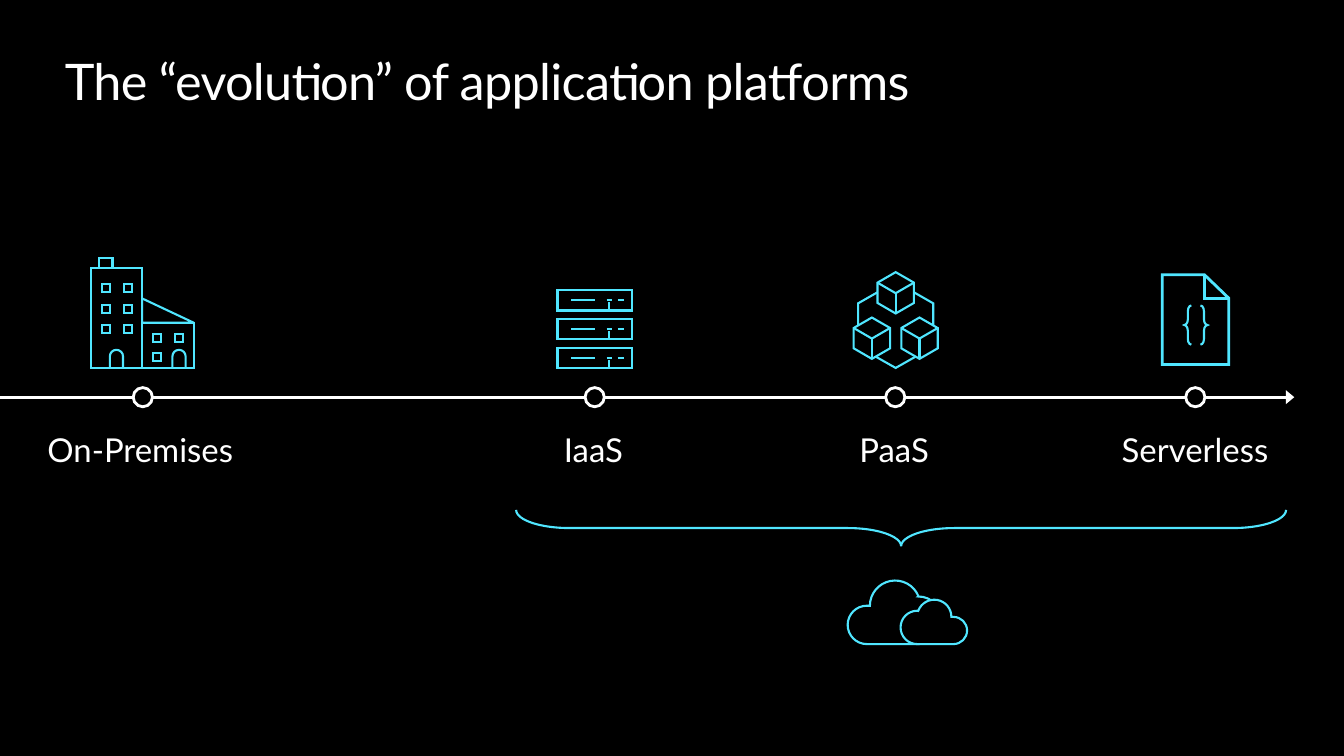
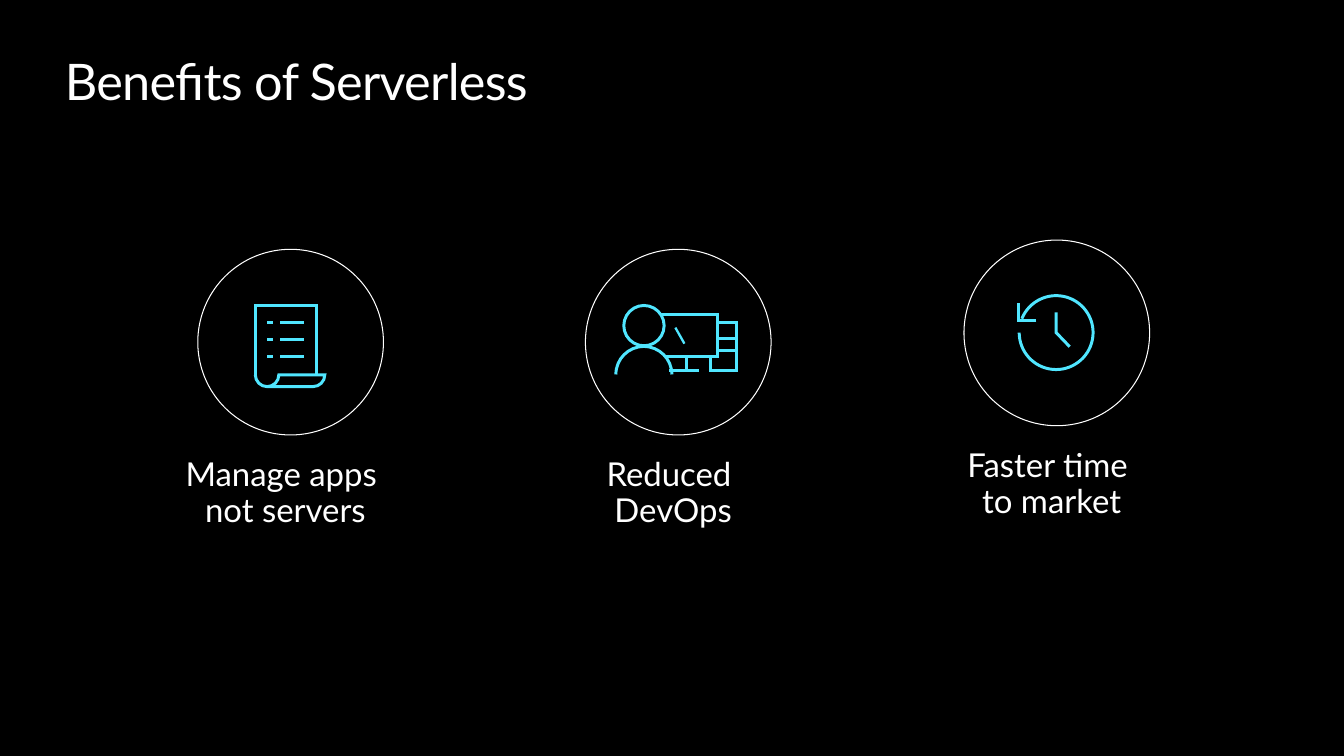
"""Builds two slides on application platforms and serverless benefits."""
from math import ceil, cos, radians, sin, tan

from lxml.etree import SubElement as Sub
from pptx import Presentation
from pptx.dml.color import RGBColor as RGB
from pptx.enum.shapes import MSO_CONNECTOR as LINK, MSO_SHAPE as KIND
from pptx.enum.text import MSO_ANCHOR as ANCHOR, MSO_AUTO_SIZE as SIZE, PP_ALIGN as ALIGN
from pptx.oxml.ns import qn
from pptx.util import Pt

COLORS = {"back": "000000", "text": "FFFFFF", "icon": "50E6FF"}
FONT = "Lato"
BOLD = 2.13
AXIS = 283.7


def color(name):
    """Return a palette colour."""
    return RGB.from_string(COLORS[name])


def style(shape, width, line="icon", fill=None):
    """Set a sharp-cornered outline and the fill, with no shadow."""
    shape.shadow.inherit = False
    shape.line.width = Pt(width)
    shape.line.color.rgb = color(line)
    Sub(shape.element.spPr.find(qn("a:ln")), qn("a:miter"), lim="800000")
    if fill:
        shape.fill.solid()
        shape.fill.fore_color.rgb = color(fill)
    else:
        shape.fill.background()


def form(shapes, kind, x, y, w, h, width=1.5, line="icon", fill=None):
    """Add a preset shape."""
    shape = shapes.add_shape(kind, Pt(x), Pt(y), Pt(w), Pt(h))
    style(shape, width, line, fill)
    return shape


def disc(shapes, x, y, size, width, line="icon", fill=None):
    """Add a circle around a centre."""
    form(shapes, KIND.OVAL, x - size / 2, y - size / 2, size, size, width, line, fill)


def bend(shape, steps):
    """Turn each three-point step of an outline into a Bezier curve."""
    nodes = iter(list(shape.element.iter(qn("a:lnTo"))))
    for step in steps:
        first, *rest = [next(nodes) for _ in step]
        if rest:
            first.tag = qn("a:cubicBezTo")
            for node in rest:
                first.append(node[0])
                node.getparent().remove(node)


def trace(shapes, steps, width=1.5, close=False, fill=None):
    """Add a freeform through points and curves."""
    steps = [step if isinstance(step, list) else [step] for step in steps]
    spots = [(Pt(x), Pt(y)) for step in steps for x, y in step]
    pen = shapes.build_freeform(*spots[0])
    pen.add_line_segments(spots[1:], close=close)
    shape = pen.convert_to_shape()
    bend(shape, steps[1:])
    style(shape, width, fill=fill)


def arc(x, y, r, start, end):
    """Return a point and curves on a circle, clockwise in degrees from the right."""
    count = ceil(abs(end - start) / 90)
    turn = radians(end - start) / count
    pull = r * tan(turn / 4) * 4 / 3
    steps = [(x + r * cos(radians(start)), y + r * sin(radians(start)))]
    for i in range(count):
        a = radians(start) + i * turn
        b = a + turn
        x1, y1, x2, y2 = x + r * cos(a), y + r * sin(a), x + r * cos(b), y + r * sin(b)
        steps.append([(x1 - pull * sin(a), y1 + pull * cos(a)),
                      (x2 + pull * sin(b), y2 - pull * cos(b)), (x2, y2)])
    return steps


def line(shapes, x1, y1, x2, y2, width=1.5, ink="icon", arrow=False):
    """Add a straight line, with an optional arrowhead."""
    link = shapes.add_connector(LINK.STRAIGHT, Pt(x1), Pt(y1), Pt(x2), Pt(y2))
    link.line.width = Pt(width)
    link.line.color.rgb = color(ink)
    props = link.element.spPr
    if arrow:
        Sub(props.find(qn("a:ln")), qn("a:tailEnd"), type="triangle", w="lg")
    Sub(props, qn("a:effectLst"))


def inset(frame, left, top, right, low):
    """Set the margins of a text frame."""
    frame.margin_left, frame.margin_top = Pt(left), Pt(top)
    frame.margin_right, frame.margin_bottom = Pt(right), Pt(low)


def paint(part, size):
    """Format the runs of a paragraph."""
    for run in part.runs:
        run.font.name = FONT
        run.font.size = Pt(size)
        run.font.color.rgb = color("text")


def label(slide, text, x, y, w, h, left, align, wrap):
    """Add a caption centred on x."""
    frame = slide.shapes.add_textbox(Pt(x - w / 2), Pt(y), Pt(w), Pt(h)).text_frame
    inset(frame, left, 11.5, 14.4, 11.5)
    frame.word_wrap = wrap
    frame.auto_size = SIZE.SHAPE_TO_FIT_TEXT
    frame.text = text
    part = frame.paragraphs[0]
    part.alignment = align
    part.line_spacing = 0.9
    part.space_after = Pt(5.9)
    paint(part, 23.5)


def theme(deck):
    """Set the shared background and title box and return the layout."""
    fill = deck.slide_master.background.fill
    fill.solid()
    fill.fore_color.rgb = color("back")
    layout = deck.slide_layouts[5]
    head = layout.placeholders[0]
    head.left, head.top, head.width, head.height = Pt(46.3), Pt(36), Pt(868), Pt(44)
    return layout


def page(deck, layout, text):
    """Add a slide with its title."""
    slide = deck.slides.add_slide(layout)
    frame = slide.shapes.title.text_frame
    inset(frame, 0, 0, 0, 0)
    frame.vertical_anchor = ANCHOR.TOP
    frame.auto_size = SIZE.NONE
    frame.text = text
    part = frame.paragraphs[0]
    part.alignment = ALIGN.LEFT
    paint(part, 36)
    for run in part.runs:
        run.font._element.set("spc", "-50")
    return slide


def office(shapes):
    """Draw the office building."""
    form(shapes, KIND.RECTANGLE, 64.8, 191.5, 36.7, 71.5)
    form(shapes, KIND.RECTANGLE, 70.4, 184.3, 10, 7.2)
    form(shapes, KIND.RECTANGLE, 101.5, 230.6, 37, 32.4)
    form(shapes, KIND.RIGHT_TRIANGLE, 101.5, 213.2, 37, 17.4)
    panes = [(x, y) for x in (72.7, 88.6) for y in (203, 217.6, 232.2)]
    for x, y in panes + [(109.4, 238.3), (125.3, 238.3), (109.4, 252)]:
        form(shapes, KIND.RECTANGLE, x, y, 5.7, 5.7)
    for x in (83.2, 127.9):
        top = arc(x, 254.6, 4.7, 180, 360)
        trace(shapes, [(x - 4.7, 263), *top, (x + 4.7, 263)])


def rack(shapes):
    """Draw three stacked servers."""
    for i in range(3):
        y = 207.4 + 20.6 * i
        form(shapes, KIND.RECTANGLE, 398.2, y, 53.3, 14.4)
        for x1, x2 in ((408.2, 424.8), (433.4, 437), (441.4, 445.7)):
            line(shapes, x1, y + 7.2, x2, y + 7.2)
        line(shapes, 434.9, y + 8.6, 434.9, y + 14.4)


def cube(shapes, x, y):
    """Draw a cube below its top corner."""
    left, right = x - 13, x + 13
    edge = [(left, y + 7.5), (x, y), (right, y + 7.5),
            (right, y + 22), (x, y + 29.5), (left, y + 22)]
    trace(shapes, edge, close=True)
    trace(shapes, [(right, y + 7.5), (x, y + 15), (left, y + 7.5)])
    line(shapes, x, y + 15, x, y + 29.5)


def cubes(shapes):
    """Draw three linked cubes."""
    mid = 639.8
    for x, y in ((mid, 194.4), (mid - 17, 226.8), (mid + 17, 226.8)):
        cube(shapes, x, y)
    for side in (-1, 1):
        far = mid + side * 26.8
        trace(shapes, [(mid + side * 13, 208.8), (far, 216.7), (far, 232.6)])
    trace(shapes, [(mid - 14, 254.9), (mid, 262.8), (mid + 14, 254.9)])


def code(shapes):
    """Draw a page with a folded corner and braces."""
    fold, right, top, low = 860.4, 877.7, 196.3, 213
    edge = [(830.2, top), (fold, top), (right, low), (right, 260.4), (830.2, 260.4)]
    trace(shapes, edge, 2, close=True)
    trace(shapes, [(fold, top), (fold, low), (right, low)], 2)
    for kind, x in ((KIND.LEFT_BRACE, 846), (KIND.RIGHT_BRACE, 857.5)):
        form(shapes, kind, x, 218.2, 5, 28).adjustments[0] = 0.81


def cloud(shapes, dome, right, left, fill=None):
    """Draw a cloud from three arcs."""
    steps = arc(*dome) + arc(*right, -90, 90) + arc(*left, 90, 270)
    trace(shapes, steps, close=True, fill=fill)


def scroll(shapes):
    """Draw a scroll with a list."""
    trace(shapes, [(182.4, 268.6), (182.4, 218.2), (226.1, 218.2), (226.1, 267.8)], BOLD)
    curl = arc(190.8, 267.8, 8.4, 180, 0) + arc(223.6, 267.8, 8.4, 0, 90)
    trace(shapes, curl + [(190.8, 276.2)], BOLD)
    for i in range(3):
        y = 230.4 + 12.25 * i
        for x1, x2 in ((190.8, 195.1), (200.2, 217.4)):
            line(shapes, x1, y, x2, y, BOLD)


def desk(shapes):
    """Draw a person at a computer."""
    disc(shapes, 460, 232.6, 28.8, BOLD)
    trace(shapes, arc(459.9, 267.5, 20, 180, 360), BOLD)
    side, far, low, base = 512.2, 526.3, 254.9, 264.8
    trace(shapes, [(475.9, low), (side, low), (side, 224.6), (472.3, 224.6)], BOLD)
    trace(shapes, [(side, 230.4), (far, 230.4), (far, base), (507.6, base), (507.6, low)], BOLD)
    line(shapes, 490.3, base, 490.3, low, BOLD)
    line(shapes, 499.4, base, 477.6, base, BOLD)
    for y in (241.9, 250.6):
        line(shapes, far, y, side, y, BOLD)
    line(shapes, 482.4, 234, 488.9, 245.5, 1.63)


def clock(shapes):
    """Draw a clock with a turning arrow."""
    trace(shapes, arc(754.4, 237.6, 26.4, 202, 540), BOLD)
    trace(shapes, [(754.4, 223.2), (754.4, 237.6), (764.1, 247.7)], BOLD)
    trace(shapes, [(740.2, 229), (727.6, 229), (727.6, 216.7)], BOLD)


def growth(slide):
    """Fill the timeline slide."""
    stops = [("On-Premises", 102, 165, office), ("IaaS", 424.8, 72.7, rack),
             ("PaaS", 639.5, 80, cubes), ("Serverless", 853.8, 134, code)]
    shapes = slide.shapes
    line(shapes, 0, AXIS, 924.5, AXIS, 2, "text", arrow=True)
    for text, x, width, icon in stops:
        label(slide, text, x, 298.8, width, 49, 14.4, ALIGN.LEFT, False)
        disc(shapes, x, AXIS, 13.7, 2, "text", "back")
        icon(shapes.add_group_shape().shapes)
    brace = form(shapes, KIND.RIGHT_BRACE, 630.7, 102.2, 25.9, 550)
    brace.rotation = 90
    brace.adjustments[0] = 1.47
    cloud(shapes, (639.4, 432.7, 18, 180, 338), (655.9, 443.1, 17), (619.2, 446.4, 13.7))
    cloud(shapes, (667.4, 440.6, 12.2, 200, 360), (681.1, 450.4, 9.7),
          (655.2, 448.2, 11.9), "back")


def gains(slide):
    """Fill the benefits slide."""
    items = [("Manage apps \vnot servers", 207.6, 244.4, scroll),
             ("Reduced \vDevOps", 484.5, 244.4, desk),
             ("Faster time \vto market", 754.9, 237.8, clock)]
    for text, x, y, icon in items:
        label(slide, text, x, y + 71.5, 204, 75, 7.2, ALIGN.CENTER, True)
        shapes = slide.shapes.add_group_shape().shapes
        disc(shapes, x, y, 132.6, 0.75, "text", "back")
        icon(shapes)


def main():
    """Build and save the deck."""
    deck = Presentation()
    deck.slide_width, deck.slide_height = Pt(960), Pt(540)
    layout = theme(deck)
    growth(page(deck, layout, "The “evolution” of application platforms"))
    gains(page(deck, layout, "Benefits of Serverless"))
    deck.save("out.pptx")


if __name__ == "__main__":
    main()
